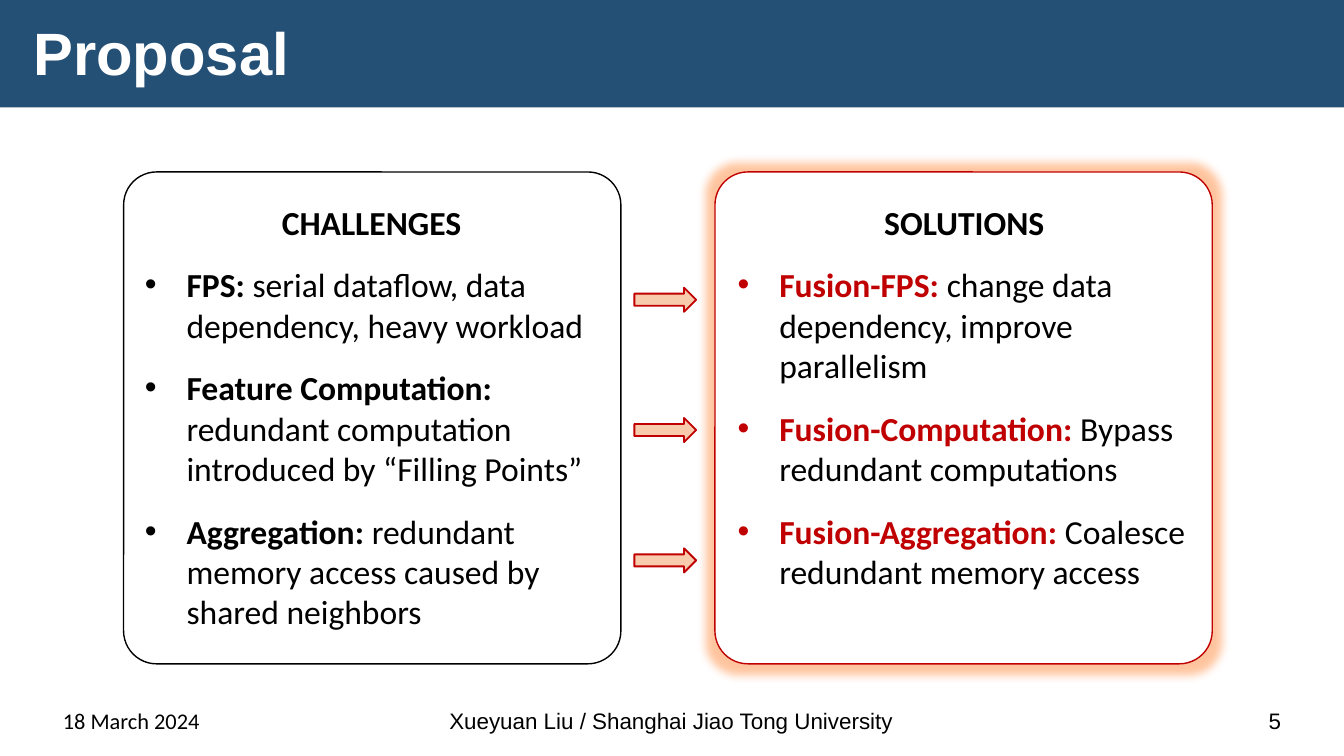
from lxml import etree
from pptx import Presentation
from pptx import util as u
from pptx.dml.color import RGBColor
from pptx.enum import shapes, text
from pptx.oxml.ns import qn

PX = 9144  # EMU per px, 100 px to the inch
SLIDE_WIDTH = 1000
COLORS = {"banner": "255076", "white": "FFFFFF", "black": "000000",
          "red": "C00000", "peach": "F8CBAD", "glow": "FF6D0D"}

TITLE = "Proposal"
PANELS = [
    {"heading": "CHALLENGES", "accent": "black", "glow": False,
     "text_left": 98, "text_height": 333, "items": [
        ("FPS: ", "serial dataflow, data dependency, heavy workload"),
        ("Feature Computation: ", "redundant computation introduced by “Filling Points”"),
        ("Aggregation: ", "redundant memory access caused by shared neighbors")]},
    {"heading": "SOLUTIONS", "accent": "red", "glow": True,
     "text_left": 539, "text_height": 303, "items": [
        ("Fusion-FPS: ", "change data dependency, improve parallelism"),
        ("Fusion-Computation: ", "Bypass redundant computations"),
        ("Fusion-Aggregation: ", "Coalesce redundant memory access")]},
]
LEFT, CENTER, RIGHT = text.PP_ALIGN.LEFT, text.PP_ALIGN.CENTER, text.PP_ALIGN.RIGHT
FOOTERS = [  # left, width, alignment, font, wording
    (37, 257, LEFT, "Calibri", "18 March 2024"),
    (324, 351, CENTER, "Arial", "Xueyuan Liu / Shanghai Jiao Tong University"),
    (706, 257, RIGHT, "Arial", "5"),
]
PANEL_LEFT, PANEL_TOP, PANEL_WIDTH, PANEL_HEIGHT, PANEL_STEP = 92, 128, 370, 366, 440
ARROW_LEFT, ARROW_TOP, ARROW_WIDTH, ARROW_HEIGHT, ARROW_STEP = 472, 214, 46, 18, 97
INDENT = 31


def rgb(name):
    return RGBColor.from_string(COLORS[name])


def px(*lengths):
    return [u.Emu(length * PX) for length in lengths]


def add_shape(slide, kind, frame, fill, line=None, line_width=0.75):
    shape = slide.shapes.add_shape(kind, *px(*frame))
    shape.shadow.inherit = False
    shape.fill.solid()
    shape.fill.fore_color.rgb = rgb(fill)
    if line:
        shape.line.color.rgb = rgb(line)
        shape.line.width = u.Pt(line_width)
    else:
        shape.line.fill.background()
    return shape


def add_text_box(slide, frame, anchor=text.MSO_ANCHOR.TOP):
    box = slide.shapes.add_textbox(*px(*frame))
    box.text_frame.word_wrap = True
    box.text_frame.vertical_anchor = anchor
    return box.text_frame


def style(font, name, size, color="black", bold=False):
    font.name, font.size, font.bold = name, u.Pt(size), bold
    font.color.rgb = rgb(color)


def add_glow(shape):
    effects = shape._element.spPr.find(qn("a:effectLst"))
    glow = etree.SubElement(effects, qn("a:glow"), rad=str(u.Pt(10)))
    color = etree.SubElement(glow, qn("a:srgbClr"), val=COLORS["glow"])
    etree.SubElement(color, qn("a:alpha"), val="40000")


def add_bullet(para):
    props = para._p.get_or_add_pPr()
    props.set("marL", str(INDENT * PX))
    props.set("indent", str(-INDENT * PX))
    etree.SubElement(props, qn("a:buFont"), typeface="Arial")
    etree.SubElement(props, qn("a:buChar"), char="•")


def add_panel(slide, left, panel):
    outline = add_shape(slide, shapes.MSO_SHAPE.ROUNDED_RECTANGLE,
                        (left, PANEL_TOP, PANEL_WIDTH, PANEL_HEIGHT), "white", panel["accent"])
    outline.adjustments[0] = 0.067
    if panel["glow"]:
        add_glow(outline)

    frame = add_text_box(slide, (panel["text_left"], PANEL_TOP + 17, 357, panel["text_height"]))
    frame.auto_size = text.MSO_AUTO_SIZE.SHAPE_TO_FIT_TEXT
    heading = frame.paragraphs[0]
    heading.text, heading.alignment = panel["heading"], CENTER
    style(heading.font, "Calibri", 18, bold=True)
    for term, detail in panel["items"]:
        para = frame.add_paragraph()
        para.space_before = u.Pt(12)
        add_bullet(para)
        for words, color, bold in ((term, panel["accent"], True), (detail, "black", False)):
            span = para.add_run()
            span.text = words
            style(span.font, "Calibri", 18, color, bold)


def main():
    deck = Presentation()
    deck.slide_width = u.Emu(SLIDE_WIDTH * PX)
    deck.slide_height = u.Emu(deck.slide_width * 9 // 16)
    slide = deck.slides.add_slide(deck.slide_layouts[6])

    add_shape(slide, shapes.MSO_SHAPE.RECTANGLE, (0, 0, SLIDE_WIDTH, 80), "banner")
    title_frame = add_text_box(slide, (15, 10, 970, 63), text.MSO_ANCHOR.MIDDLE)
    title_frame.word_wrap = False
    title = title_frame.paragraphs[0]
    title.text, title.line_spacing, title.alignment = TITLE, 0.9, LEFT
    style(title.font, "Arial", 32, "white", True)

    for left, width, alignment, font, words in FOOTERS:
        para = add_text_box(slide, (left, 521, width, 30), text.MSO_ANCHOR.BOTTOM).paragraphs[0]
        para.text, para.alignment = words, alignment
        style(para.font, font, 12)

    for column, panel in enumerate(PANELS):
        add_panel(slide, PANEL_LEFT + column * PANEL_STEP, panel)

    for row in range(len(PANELS[0]["items"])):
        add_shape(slide, shapes.MSO_SHAPE.RIGHT_ARROW,
                  (ARROW_LEFT, ARROW_TOP + row * ARROW_STEP, ARROW_WIDTH, ARROW_HEIGHT),
                  "peach", "red", 1)

    deck.save("out.pptx")


if __name__ == "__main__":
    main()
